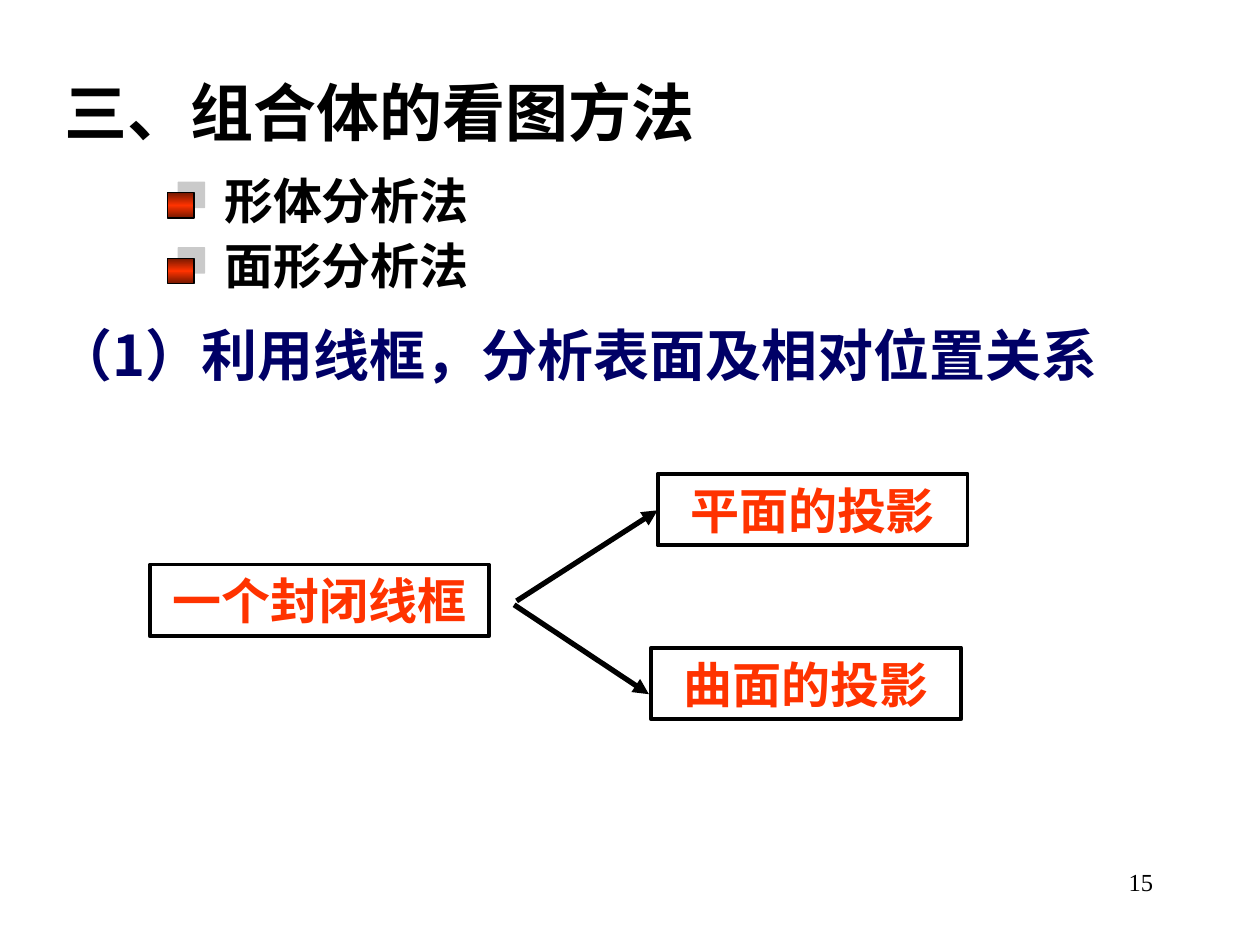
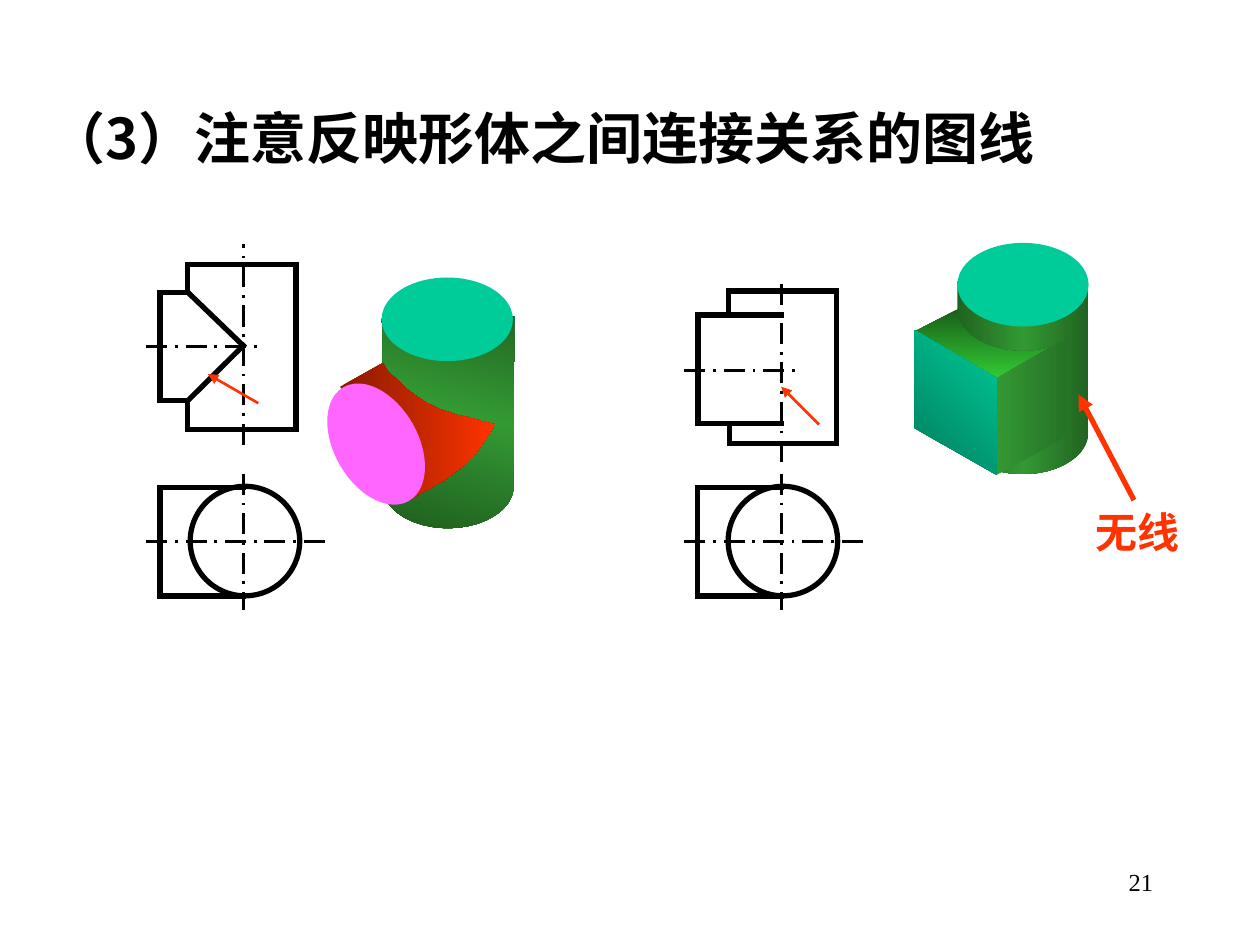
import math
from dataclasses import dataclass
from itertools import pairwise

import pptx
import pptx.dml.color
import pptx.enum.dml
import pptx.enum.shapes
import pptx.enum.text
import pptx.oxml
import pptx.oxml.ns
import pptx.util

Pt = pptx.util.Pt
qn = pptx.oxml.ns.qn
SHAPE = pptx.enum.shapes.MSO_SHAPE
ALIGN = pptx.enum.text.PP_ALIGN
ANCHOR = pptx.enum.text.MSO_ANCHOR


@dataclass(frozen=True)
class Theme:
    black: str = "000000"
    navy: str = "000066"
    red: str = "FF3300"
    shadow: str = "969696"
    teal: str = "00CC99"
    pink: str = "FF66FF"
    bullet: tuple = ("761800", "FF3300", "761800")
    cone: tuple = ("871B00", "FF3300")
    cylinder: tuple = ("184718", "339933", "184718")
    post: tuple = ("216321", "339933", "216321")
    block_top: tuple = ("185E18", "33CC33")
    block_right: tuple = ("339933", "267226")
    block_left: tuple = ("007C5D", "00CC99")
    latin: str = "Times New Roman"
    cjk: str = "Noto Sans CJK SC"
    title: int = 36
    heading: int = 32
    body: int = 28
    label: int = 24
    number: int = 14
    thin: float = 1.5
    frame: float = 2.25
    thick: float = 3


T = Theme()

METHODS = ["形体分析法", "面形分析法"]
NODES = [
    ("一个封闭线框", (85.7, 322.6, 193.7, 41)),
    ("平面的投影", (375.8, 270.7, 177.1, 41)),
    ("曲面的投影", (372.2, 370.1, 177.1, 41)),
]
BRANCH_ARROWS = [((295.2, 343.4), (375.8, 291.6)), ((293.8, 345.6), (370.8, 396.7))]

VIEW_GAP = 307.4
PLAN_AXES = [((83.5, 309.6), (186.5, 309.6)), ((139, 270.7), (139, 348.5))]
PLAN_OUTLINE = [(139, 278.6), (91.4, 278.6), (91.4, 340.6), (139, 340.6)]
PLAN_CIRCLE = (108.7, 277.9, 62.6, 62.6)

CONE_VIEW = {
    "axes": [((139, 254.2), (139, 139.7)), ((83.5, 198), (148.3, 198))],
    "outlines": [
        [(107.3, 167), (91.4, 167), (91.4, 229), (107.3, 229)],
        [(107.3, 229), (139, 197.5), (107.3, 167)],
        [(107.3, 229), (107.3, 245.5), (169.2, 245.5), (169.2, 151.2),
         (107.3, 151.2), (107.3, 167)],
    ],
}
BLOCK_VIEW = {
    "axes": [((446.4, 264.2), (446.4, 158.4)), ((391, 211.7), (454.3, 211.7))],
    "outlines": [
        [(446.4, 180), (398.9, 180), (398.9, 242), (446.4, 242)],
        [(416.2, 180), (416.2, 166.3), (478.1, 166.3), (478.1, 253.4),
         (416.9, 253.4), (416.9, 242)],
    ],
}
POINTERS = [
    ((147.6, 230.4), (118.8, 213.8), T.thin),
    ((468, 242.6), (446.4, 221), T.thin),
    ((648, 285.8), (616.3, 225.4), T.thick),
]

RX, RY = 37.5, 23.9
CONE = [
    (194.4, 221), (218.9, 207.4), (221.8, 212.4), (226.8, 216.7), (231.8, 221.8),
    (237.6, 226.1), (244.1, 230.4), (252, 234), (260.6, 236.9), (267.1, 238.3),
    (275, 240.5), (283, 242.6), (277.9, 250.6), (274.3, 255.6), (270.7, 260.6),
    (266.4, 265), (260.6, 269.3), (254.2, 274.3), (231.1, 287.3),
]
BLOCK_TOP = [(547.9, 176.4), (522.7, 189.5), (570.2, 216.7), (604.8, 196.6)]
BLOCK_RIGHT = [(609.8, 193), (569.5, 216), (569.5, 271.4), (609.8, 249.1)]
BLOCK_LEFT = [(522.7, 188.6), (522.7, 244.8), (569.5, 271.4), (569.5, 216)]


def rgb(color):
    return pptx.dml.color.RGBColor.from_string(color)


def put_text(sp, text, size=T.body, color=T.black, bold=True, font=T.latin,
             align=ALIGN.LEFT, anchor=ANCHOR.MIDDLE, spacing=None):
    tf = sp.text_frame
    tf.word_wrap = True
    tf.auto_size = pptx.enum.text.MSO_AUTO_SIZE.NONE
    tf.vertical_anchor = anchor
    tf.margin_left = tf.margin_right = Pt(7.2)
    tf.margin_top = tf.margin_bottom = Pt(3.6)
    p = tf.paragraphs[0]
    p.alignment = align
    p.line_spacing = spacing
    r = p.add_run()
    r.text = text
    r.font.size = Pt(size)
    r.font.bold = bold
    r.font.name = font
    r.font.color.rgb = rgb(color)
    ea = r._r.get_or_add_rPr().makeelement(qn("a:ea"), {"typeface": T.cjk})
    r.font._element.find(qn("a:latin")).addnext(ea)


def add_text(s, text, box, **fmt):
    put_text(s.shapes.add_textbox(*map(Pt, box)), text, **fmt)


def add_title(s, text, box, **fmt):
    sp = s.shapes.title
    sp.left, sp.top, sp.width, sp.height = map(Pt, box)
    put_text(sp, text, **fmt)


def add_page_number(s, number):
    add_text(s, number, (516.2, 491.8, 149.8, 36), size=T.number, bold=False,
             align=ALIGN.RIGHT, anchor=ANCHOR.TOP)


def paint(sp, fill=None, angle=0, line=None, width=T.thick):
    sp.shadow.inherit = False
    if fill is None:
        sp.fill.background()
    elif isinstance(fill, str):
        sp.fill.solid()
        sp.fill.fore_color.rgb = rgb(fill)
    else:
        sp.fill.gradient()
        stops = "".join(
            f'<a:gs pos="{round(100000 * i / (len(fill) - 1))}"><a:srgbClr val="{c}"/></a:gs>'
            for i, c in enumerate(fill))
        old = sp._element.spPr.find(qn("a:gradFill"))
        old.getparent().replace(old, pptx.oxml.parse_xml(
            f'<a:gradFill {pptx.oxml.ns.nsdecls("a")} rotWithShape="1">'
            f'<a:gsLst>{stops}</a:gsLst><a:lin ang="{angle * 60000}" scaled="1"/></a:gradFill>'))
    if line:
        sp.line.color.rgb = rgb(line)
        sp.line.width = Pt(width)
    else:
        sp.line.fill.background()


def add_preset(s, kind, box, rotation=0, **style):
    sp = s.shapes.add_shape(kind, *map(Pt, box))
    sp.rotation = rotation
    paint(sp, **style)
    return sp


def add_line(s, start, end, color=T.black, width=T.thick, arrow=False, axis=False):
    cx = s.shapes.add_connector(
        pptx.enum.shapes.MSO_CONNECTOR.STRAIGHT, *map(Pt, (*start, *end)))
    cx.line.color.rgb = rgb(color)
    cx.line.width = Pt(width)
    ln = cx.line._get_or_add_ln()
    if axis:
        cx.line.dash_style = pptx.enum.dml.MSO_LINE.LONG_DASH_DOT
    elif arrow:
        ln.append(ln.makeelement(qn("a:tailEnd"), {"type": "triangle"}))
    else:
        ln.set("cap", "sq")
    spPr = cx._element.spPr
    spPr.append(spPr.makeelement(qn("a:effectLst"), {}))


def turn(point, degrees):
    x, y = point
    a = math.radians(degrees)
    return x * math.cos(a) - y * math.sin(a), x * math.sin(a) + y * math.cos(a)


def add_face(s, points, fill, angle=0, rotation=0):
    flat = [turn(p, -rotation) for p in points]
    fb = s.shapes.build_freeform(*map(Pt, flat[0]), scale=1.0)
    fb.add_line_segments([(Pt(x), Pt(y)) for x, y in flat[1:]], close=True)
    sp = fb.convert_to_shape()
    xs, ys = zip(*flat)
    cx, cy = turn(((min(xs) + max(xs)) / 2, (min(ys) + max(ys)) / 2), rotation)
    sp.left, sp.top = Pt(cx) - sp.width // 2, Pt(cy) - sp.height // 2
    sp.rotation = rotation
    paint(sp, fill, angle)


def arc(cx, cy, start, end, steps=16):
    angles = [math.radians(start + (end - start) * i / steps) for i in range(steps + 1)]
    return [(cx + RX * math.cos(a), cy + RY * math.sin(a)) for a in angles]


def add_disc(s, cx, cy, fill, rotation=0):
    add_preset(s, SHAPE.OVAL, (cx - RX, cy - RY, 2 * RX, 2 * RY), rotation, fill=fill)


def add_bullet(s, text, top):
    sp = add_preset(s, SHAPE.RECTANGLE, (95.8, top + 16.6, 15.1, 14.4),
                    fill=T.bullet, angle=90, line=T.black, width=0.75)
    sp._element.spPr.find(qn("a:effectLst")).append(pptx.oxml.parse_xml(
        f'<a:outerShdw {pptx.oxml.ns.nsdecls("a")} dist="{Pt(8.5)}" dir="18900000" '
        f'algn="ctr" rotWithShape="0"><a:srgbClr val="{T.shadow}">'
        '<a:alpha val="50000"/></a:srgbClr></a:outerShdw>'))
    add_text(s, text, (121, top, 253.4, 41))


def add_views(s, front, dx):
    def shift(points):
        return [(x + dx, y) for x, y in points]

    for axis in [*front["axes"], *map(shift, PLAN_AXES)]:
        add_line(s, *axis, width=T.thin, axis=True)
    for outline in [*front["outlines"], shift(PLAN_OUTLINE)]:
        for start, end in pairwise(outline):
            add_line(s, start, end)
    x, *rest = PLAN_CIRCLE
    add_preset(s, SHAPE.OVAL, (x + dx, *rest), line=T.black)


def add_cone_solid(s):
    body = [(218.2, 182.2), *arc(256, 278, 162, 4), (293.8, 180.7)]
    add_face(s, body, T.cylinder, 45, rotation=60.1)
    add_face(s, CONE, T.cone)
    add_disc(s, 214.9, 253.8, T.pink, rotation=60.1)
    add_disc(s, 255.6, 182.5, T.teal)


def add_block_solid(s):
    cx = 584.6
    post = [(cx - RX, 160.6), *arc(cx, 176.4, 180, 49), (609.1, 247),
            *arc(cx, 247, 109, 0), (cx + RX, 162)]
    add_face(s, BLOCK_TOP, T.block_top, 90)
    add_face(s, post, T.post)
    add_disc(s, cx, 162.7, T.teal)
    add_face(s, BLOCK_RIGHT, T.block_right)
    add_face(s, BLOCK_LEFT, T.block_left, 315)


def build_methods(s):
    add_title(s, "三、组合体的看图方法", (0, 20.9, 434.2, 67.7), size=T.title,
              align=ALIGN.CENTER, spacing=1.4)
    for i, method in enumerate(METHODS):
        add_bullet(s, method, 93.6 + 37.4 * i)
    add_text(s, "（1）利用线框，分析表面及相对位置关系", (25.2, 179.3, 673.9, 46),
             size=T.heading, color=T.navy, font=T.cjk)
    for text, box in NODES:
        sp = add_preset(s, SHAPE.RECTANGLE, box, line=T.black, width=T.frame)
        put_text(sp, text, color=T.red, align=ALIGN.CENTER)
    for start, end in BRANCH_ARROWS:
        add_line(s, start, end, arrow=True)
    add_page_number(s, "15")


def build_connections(s):
    add_title(s, "（3）注意反映形体之间连接关系的图线", (20.9, 55.4, 627.8, 46),
              size=T.heading, font=T.cjk)
    add_views(s, BLOCK_VIEW, VIEW_GAP)
    add_views(s, CONE_VIEW, 0)
    add_block_solid(s)
    add_cone_solid(s)
    for start, end, width in POINTERS:
        add_line(s, start, end, T.red, width, arrow=True)
    add_text(s, "无线", (605.5, 285.8, 89.3, 36), size=T.label, color=T.red,
             align=ALIGN.CENTER)
    add_page_number(s, "21")


def main():
    prs = pptx.Presentation()
    prs.slide_width, prs.slide_height = Pt(720), Pt(540)
    for build in (build_methods, build_connections):
        build(prs.slides.add_slide(prs.slide_layouts[5]))
    prs.save("out.pptx")


if __name__ == "__main__":
    main()
